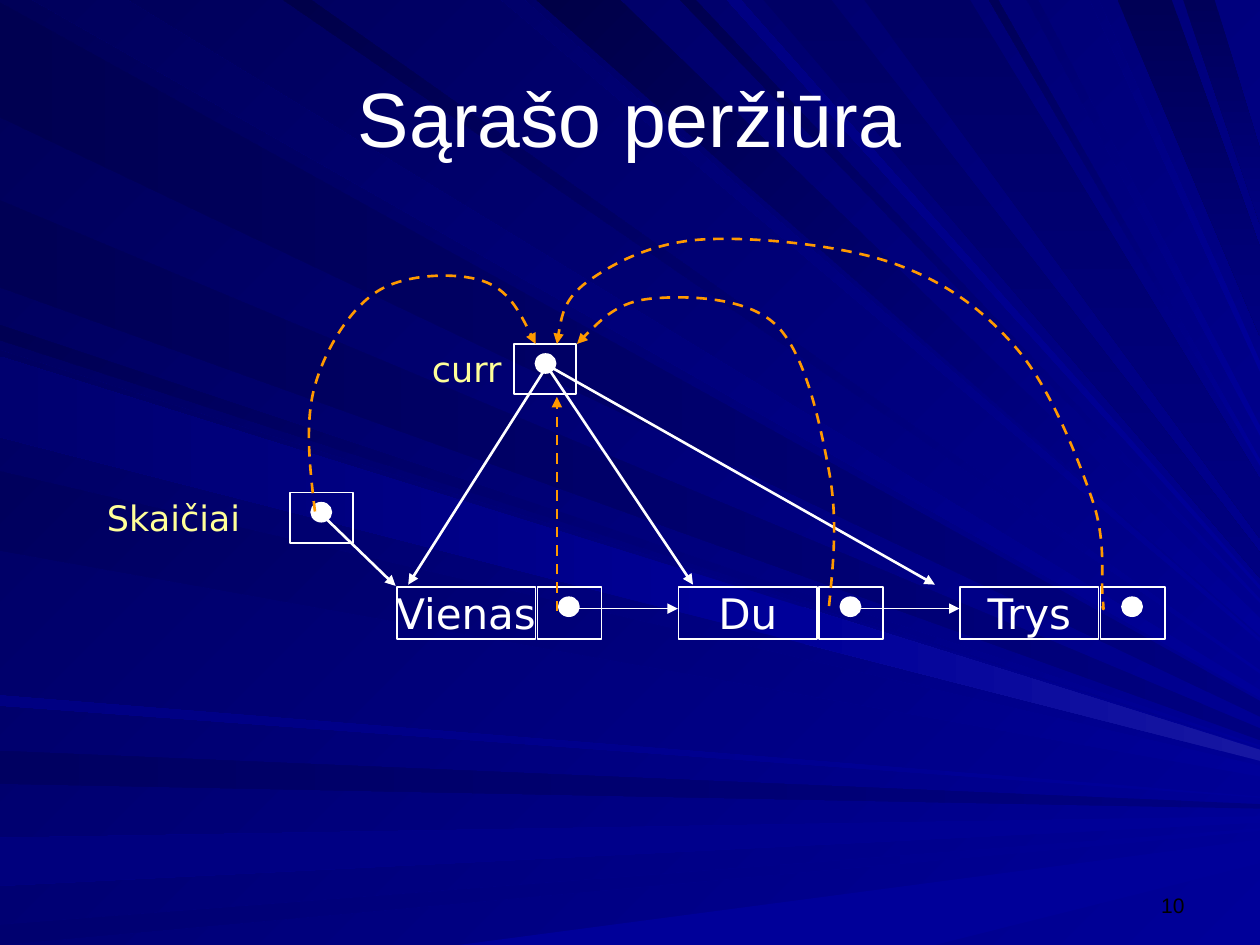
"""Build the linked-list traversal slide."""
from dataclasses import dataclass
from itertools import pairwise
from typing import Any, NamedTuple

from lxml.etree import SubElement
from pptx import Presentation
from pptx.dml.color import RGBColor
from pptx.enum.dml import MSO_LINE_DASH_STYLE as Dash
from pptx.enum.shapes import MSO_CONNECTOR as Connector, MSO_SHAPE as Preset
from pptx.enum.text import MSO_ANCHOR as Anchor, PP_ALIGN as Align
from pptx.oxml.ns import qn
from pptx.util import Inches, Pt

COLUMNS, ROWS = 100, 75
WIDTH, HEIGHT = Inches(10), Inches(7.5)
FOCUS = (116, 64.5)
LEFTWARD, UP_LEFT, DOWNWARD = 180, 135, 270


@dataclass(frozen=True)
class Theme:
    white: str = "FFFFFF"
    black: str = "000000"
    label: str = "FFFF99"
    trail: str = "FF9900"
    glow: str = "1717A2"
    heading: str = "Arial"
    body: str = "DejaVu Sans"
    title_size: int = 44
    node_size: int = 24
    label_size: int = 20
    number_size: int = 12
    thin: float = 1
    thick: float = 1.5

    def blue(self, level: str) -> str:
        """Return a named colour, or the pure blue of a two-digit level."""
        return getattr(self, level, f"0000{level}")


class Ray(NamedTuple):
    edge: str
    first: float
    last: float
    near: str
    far: str
    angle: int
    begin: float = 0
    reach: float = 1


class Caption(NamedTuple):
    text: str
    area: tuple
    font: str
    size: int
    color: str
    align: Any = Align.LEFT
    anchor: Any = Anchor.TOP


class Arrow(NamedTuple):
    start: tuple
    end: tuple
    color: str = "FFFFFF"
    width: float = 1.5
    dashed: bool = False


THEME = Theme()
RAYS = (
    Ray("left", .2, 9.3, "80", "51", LEFTWARD),
    Ray("top", 2.6, 10.1, "99", "5D", UP_LEFT),
    Ray("left", 59.6, 62.2, "80", "61", LEFTWARD),
    Ray("left", 66.5, 70.3, "99", "7D", LEFTWARD),
    Ray("left", 73.4, 75, "99", "6F", LEFTWARD),
    Ray("bottom", 36.4, 74.2, "99", "99", LEFTWARD),
    Ray("left", 25.8, 27, "99", "53", UP_LEFT),
    Ray("left", 15.9, 22.8, "80", "55", LEFTWARD),
    Ray("top", 39.8, 41.6, "99", "6B", UP_LEFT),
    Ray("top", 42.6, 49.2, "99", "47", UP_LEFT),
    Ray("top", 54, 55.2, "99", "4F", UP_LEFT),
    Ray("top", 60.6, 66, "65", "80", DOWNWARD),
    Ray("top", 88.7, 93, "55", "80", DOWNWARD),
    Ray("top", 93.9, 96.4, "59", "80", DOWNWARD),
    Ray("left", 27.8, 34.2, "99", "61", UP_LEFT),
    Ray("left", 37.4, 43.7, "99", "5D", UP_LEFT),
    Ray("left", 55.2, 56, "99", "82", LEFTWARD),
    Ray("top", 22.5, 24.7, "99", "4A", UP_LEFT),
    Ray("top", 57.7, 58.8, "99", "82", UP_LEFT),
    Ray("top", 68.6, 77, "65", "80", DOWNWARD),
    Ray("top", 78.5, 79.2, "99", "58", UP_LEFT),
    Ray("top", 81.5, 82.4, "99", "6F", UP_LEFT),
    Ray("top", 86.5, 87.2, "99", "79", UP_LEFT),
    Ray("left", 28.3, 34.7, "99", "6F", LEFTWARD, reach=.55),
    Ray("left", 28.3, 34.7, "glow", "99", LEFTWARD, begin=.55),
)
CAPTIONS = (
    Caption("10", (71.7, 68.3, 23.3, 5), THEME.heading, THEME.number_size, THEME.black, Align.RIGHT, Anchor.BOTTOM),
    Caption("Sąrašo peržiūra", (5, 3, 90, 12.5), THEME.heading, THEME.title_size, THEME.white, Align.CENTER, Anchor.MIDDLE),
    Caption("Skaičiai", (7.5, 38.9, 16.2, 4.4), THEME.body, THEME.label_size, THEME.label),
    Caption("curr", (33.3, 27.1, 9.9, 4.4), THEME.body, THEME.label_size, THEME.label),
)
NODES = ("Vienas", "Du", "Trys")
NODE_LEFT, NODE_TOP, NODE_PITCH, NODE_HEIGHT = 31.5, 46.6, 22.35, 4.1
POINTERS = ((23, 39.1, 5, 4), (40.8, 27.3, 4.9, 4))
CURRENT = (43.3, 28.9)
ARROWS = (
    Arrow((25.5, 40.8), (31.4, 46.5)),
    Arrow((43.5, 28.9), (32.4, 46.4)),
    Arrow((44.2, 48.5), (44.2, 31.5), THEME.trail, dashed=True),
    Arrow(CURRENT, (55, 46.4)),
    Arrow(CURRENT, (74.2, 46.4)),
)
TRAILS = (
    ((25, 40.6), (25, 30.6), (30, 23.1), (38.3, 22.3), (42.5, 27.3)),
    ((65.8, 48.1), (65.8, 37.4), (61.6, 25.8), (51.7, 23.7), (45.8, 27.3)),
    ((87.5, 48.1), (87.5, 47.3), (86.7, 39.7), (80.8, 27.8), (70.9, 20.9), (55.8, 19), (46.7, 22.3), (44.2, 27.3)),
)


def place(*cells: float) -> list[int]:
    """Turn alternating columns and rows into slide lengths."""
    units = (WIDTH / COLUMNS, HEIGHT / ROWS)
    return [round(cell * units[index % 2]) for index, cell in enumerate(cells)]


def apply(target: Any, values: dict[str, Any]) -> None:
    """Set each named format value on the target."""
    for name, value in values.items():
        setattr(target, name, value)


def blend(start: tuple, end: tuple, share: float) -> tuple:
    """Return the point a share of the way from start to end."""
    return tuple(a + (b - a) * share for a, b in zip(start, end))


def shade(fill: Any, near: str, far: str, angle: int) -> None:
    """Fill with one blue, or with a gradient between two."""
    if near == far:
        fill.solid()
        fill.fore_color.rgb = RGBColor.from_string(THEME.blue(near))
        return
    fill.gradient()
    fill.gradient_angle = angle
    for stop, level in zip(fill.gradient_stops, (near, far)):
        stop.color.rgb = RGBColor.from_string(THEME.blue(level))


def stroke(shape: Any, color: str, width: float, dashed: bool = False, arrow: bool = False) -> None:
    """Style an outline, with dashes and an arrowhead if asked."""
    shape.line.color.rgb = RGBColor.from_string(color)
    apply(shape.line, {"width": Pt(width), "dash_style": Dash.DASH if dashed else None})
    if arrow:
        SubElement(shape._element.spPr.find(qn("a:ln")), qn("a:tailEnd"), type="triangle")


def outline(page: Any, points: list, close: bool) -> Any:
    """Build a freeform through the points."""
    start, *rest = [tuple(place(*point)) for point in points]
    builder = page.shapes.build_freeform(*start)
    builder.add_line_segments(rest, close=close)
    shape = builder.convert_to_shape()
    shape.shadow.inherit = False
    return shape


def draw_ray(page: Any, ray: Ray) -> None:
    """Draw a beam from a slide edge towards the focus, cut at the right edge."""
    near_side, far_side = [], []
    for mark in (ray.first, ray.last):
        start = {"left": (0, mark), "top": (mark, 0), "bottom": (mark, ROWS)}[ray.edge]
        limit = (COLUMNS - start[0]) / (FOCUS[0] - start[0])
        near_side.append(blend(start, FOCUS, ray.begin))
        far_side.append(blend(start, FOCUS, min(limit, ray.reach)))
    shape = outline(page, near_side + far_side[::-1], True)
    shade(shape.fill, ray.near, ray.far, ray.angle)
    shape.line.fill.background()


def smooth_path(knots: tuple) -> list:
    """Return Bezier points through the knots, with tangents from their neighbours."""
    sides = {}
    for index in range(1, len(knots) - 1):
        before, knot, after = knots[index - 1:index + 2]
        lean = [(b - a) / 6 for a, b in zip(before, after)]
        sides[index] = [tuple(k + sign * d for k, d in zip(knot, lean)) for sign in (-1, 1)]
    points = [knots[0]]
    for index, (start, end) in enumerate(pairwise(knots)):
        leave = sides[index][1] if index in sides else blend(start, sides[index + 1][0], .5)
        arrive = sides[index + 1][0] if index + 1 in sides else blend(leave, end, .5)
        points += [leave, arrive, end]
    return points


def draw_trail(page: Any, knots: tuple) -> None:
    """Draw a dashed smooth curve with an arrowhead."""
    shape = outline(page, smooth_path(knots), False)
    shape.fill.background()
    stroke(shape, THEME.trail, THEME.thick, True, True)
    route = shape._element.spPr.find(".//" + qn("a:path"))
    steps = route.findall(qn("a:lnTo"))
    for index in range(0, len(steps), 3):
        curve = SubElement(route, qn("a:cubicBezTo"))
        for step in steps[index:index + 3]:
            curve.append(step[0])
            route.remove(step)


def write(shape: Any, caption: Caption, wrap: bool = True) -> None:
    """Put the caption's text in a shape."""
    frame = shape.text_frame
    apply(frame, {"word_wrap": wrap, "vertical_anchor": caption.anchor})
    para = frame.paragraphs[0]
    para.alignment = caption.align
    span = para.add_run()
    span.text = caption.text
    apply(span.font, {"name": caption.font, "size": Pt(caption.size)})
    span.font.color.rgb = RGBColor.from_string(caption.color)


def draw_shape(page: Any, preset: Any, area: tuple, filled: bool = False) -> Any:
    """Draw a white-outlined preset shape."""
    shape = page.shapes.add_shape(preset, *place(*area))
    shape.shadow.inherit = False
    shape.fill.background()
    if filled:
        shape.fill.solid()
        shape.fill.fore_color.rgb = RGBColor.from_string(THEME.white)
    stroke(shape, THEME.white, THEME.thin)
    return shape


def draw_pointer(page: Any, area: tuple) -> None:
    """Draw a pointer cell with its dot."""
    left, top = area[:2]
    draw_shape(page, Preset.RECTANGLE, area)
    draw_shape(page, Preset.OVAL, (left + 1.7, top + .8, 1.6, 1.5), True)


def draw_arrow(page: Any, arrow: Arrow) -> None:
    """Draw a straight arrow."""
    line = page.shapes.add_connector(Connector.STRAIGHT, *place(*arrow.start, *arrow.end))
    stroke(line, arrow.color, arrow.width, arrow.dashed, True)
    SubElement(line._element.spPr, qn("a:effectLst"))


def draw_node(page: Any, index: int, name: str) -> None:
    """Draw a list node and the link to the next one."""
    left = NODE_LEFT + index * NODE_PITCH
    area = (left, NODE_TOP, 11, NODE_HEIGHT)
    box = draw_shape(page, Preset.RECTANGLE, area)
    write(box, Caption(name, area, THEME.body, THEME.node_size, THEME.white, Align.CENTER, Anchor.MIDDLE), False)
    draw_pointer(page, (left + 11.15, NODE_TOP, 5.1, NODE_HEIGHT))
    if index < len(NODES) - 1:
        draw_arrow(page, Arrow((left + 13.8, 48.3), (left + 22.3, 48.3), width=THEME.thin))


def main() -> None:
    """Build and save the deck."""
    deck = Presentation()
    apply(deck, {"slide_width": WIDTH, "slide_height": HEIGHT})
    page = deck.slides.add_slide(deck.slide_layouts[6])
    shade(page.background.fill, "99", "58", UP_LEFT)
    for index, name in enumerate(NODES):
        if index == 0:
            for ray in RAYS:
                draw_ray(page, ray)
        draw_node(page, index, name)
    for draw, items in ((write_caption, CAPTIONS), (draw_pointer, POINTERS), (draw_arrow, ARROWS), (draw_trail, TRAILS)):
        for item in items:
            draw(page, item)
    deck.save("out.pptx")


def write_caption(page: Any, caption: Caption) -> None:
    """Add a text box for a caption."""
    write(page.shapes.add_textbox(*place(*caption.area)), caption)


if __name__ == "__main__":
    main()
